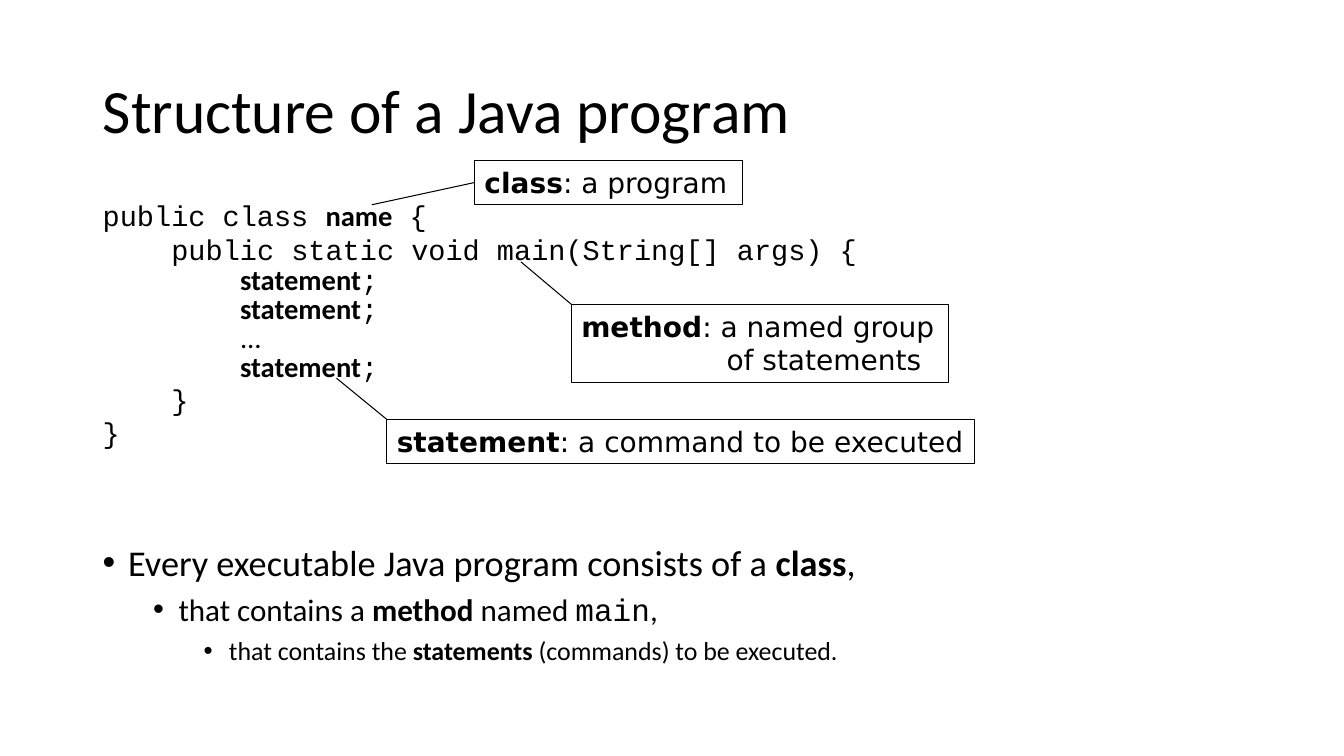
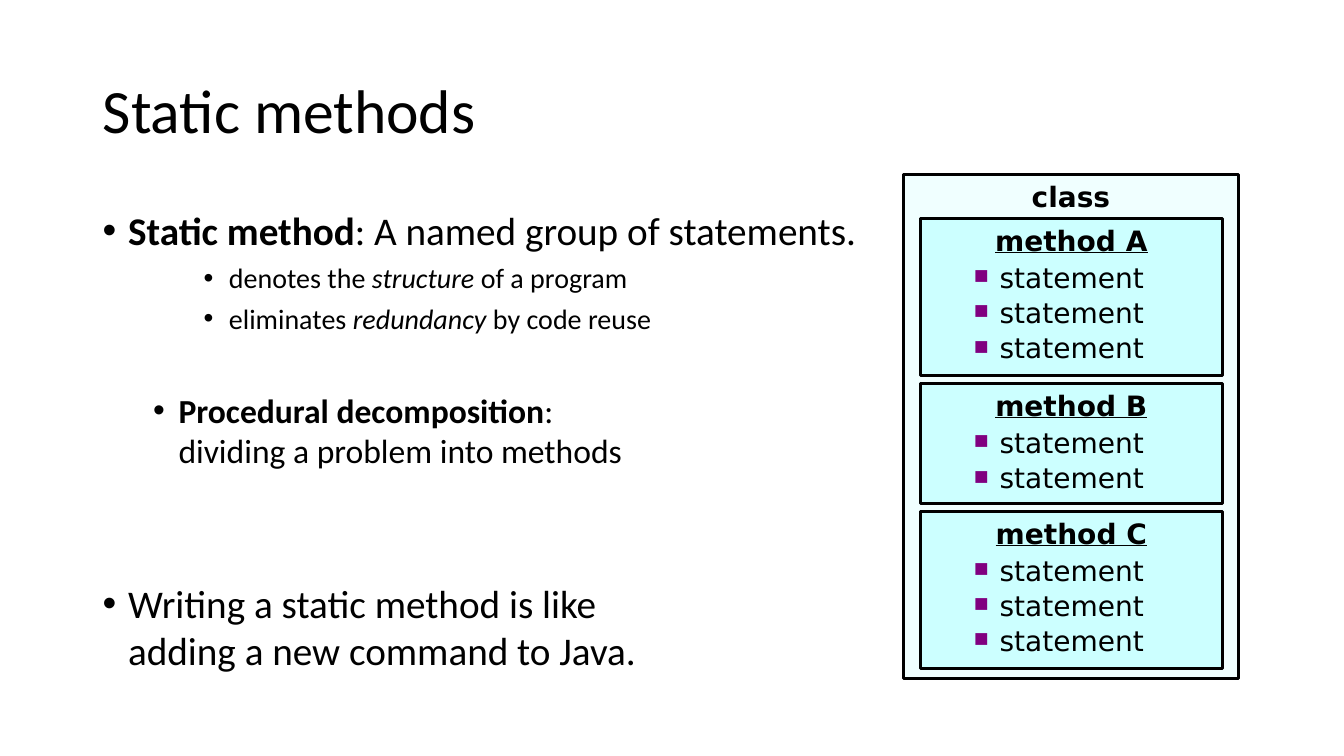
from lxml import etree
from pptx import Presentation
from pptx.dml.color import RGBColor
from pptx.enum.shapes import MSO_CONNECTOR, MSO_SHAPE
from pptx.enum.text import MSO_ANCHOR, PP_ALIGN
from pptx.oxml.ns import qn
from pptx.util import Cm, Pt

RECTANGLE, STRAIGHT = MSO_SHAPE.RECTANGLE, MSO_CONNECTOR.STRAIGHT
TOP, MIDDLE = MSO_ANCHOR.TOP, MSO_ANCHOR.MIDDLE
LEFT, CENTER = PP_ALIGN.LEFT, PP_ALIGN.CENTER

# Shared look
COLORS = {"ink": "000000", "paper": "FFFFFF", "class": "F0FFFF",
          "method": "CCFFFF", "marker": "800080"}
SANS, MONO, LABEL = "Calibri", "Courier New", "DejaVu Sans"
TITLE_AREA = (2.34, 1.02, 29.21, 3.68)
BODY_AREA = (2.34, 5.08, 29.21, 12.09)
CODE_TAB = 1.73
DOT, SQUARE = ("•", "Arial", 100, "ink"), ("■", LABEL, 55, "marker")

# Paragraph styles: lengths in cm, spacing and sizes in points
STYLES = {
    "title": dict(font=SANS, size=44, lines=0.9),
    "code": dict(font=MONO, size=20.4, lines=0.74, before=6),
    "code body": dict(font=MONO, size=20.4, lines=0.6, before=6),
    "point": dict(font=SANS, size=28, before=10, margin=0.64, hang=0.64, bullet=DOT),
    "subpoint": dict(font=SANS, size=24, before=5, margin=1.91, hang=0.64, bullet=DOT),
    "detail": dict(font=SANS, size=20, before=5, margin=3.18, hang=0.64, bullet=DOT),
    "callout": dict(font=LABEL, size=20),
    "box title": dict(font=LABEL, size=20, align=CENTER),
    "statement": dict(font=LABEL, size=20, lines=0.6, before=10.7,
                      margin=1.75, hang=0.64, bullet=SQUARE),
}
LOOKS = {"plain": {}, "bold": {"bold": True}, "italic": {"italic": True},
         "heading": {"bold": True, "underline": True}, "mono": {"name": MONO},
         "sans": {"name": SANS}, "term": {"name": SANS, "bold": True}}

# Slide 1 content: (style, changes to the style, spans)
STRUCTURE_TITLE = "Structure of a Java program"
STATEMENT_LINE = ("code body", {"margin": 2 * CODE_TAB}, [("statement", "term"), ";"])
STRUCTURE_BODY = [
    ("code", {}, ["public class ", ("name", "term"), " {"]),
    ("code", {"margin": CODE_TAB}, ["public static void main(String[] args) {"]),
    STATEMENT_LINE,
    STATEMENT_LINE,
    ("code body", {"margin": 2 * CODE_TAB}, [("...", "sans")]),
    STATEMENT_LINE,
    ("code", {"margin": CODE_TAB}, ["}"]),
    ("code", {}, ["}"]),
    ("point", {"size": 25.9, "before": 65},
     ["Every executable Java program consists of a ", ("class", "bold"), ","]),
    ("subpoint", {"size": 22.2},
     ["that contains a ", ("method", "bold"), " named ", ("main", "mono"), ","]),
    ("detail", {"size": 18.5},
     ["that contains the ", ("statements", "bold"), " (commands) to be executed."]),
]
# Callouts: term, meaning, hanging indent, area, line start, line end
CALLOUTS = [
    ("class", ": a program", 0.79, (11.96, 4.04, 6.76, 1.12), (11.96, 4.6), (9.37, 5.16)),
    ("method", ": a named group\nof statements", 3.66, (14.4, 7.67, 9.5, 1.98),
     (14.4, 7.67), (13.13, 6.6)),
    ("statement", ": a command to be executed", 0.79, (9.75, 10.57, 14.81, 1.12),
     (9.75, 10.57), (8.48, 9.53)),
]

# Slide 2 content
METHODS_TITLE = "Static methods"
METHODS_BODY = [
    ("point", {}, [("Static method", "bold"), ": A named group of statements."]),
    ("detail", {}, ["denotes the ", ("structure", "italic"), " of a program"]),
    ("detail", {}, ["eliminates ", ("redundancy", "italic"), " by code reuse"]),
    ("subpoint", {"before": 39}, [("Procedural decomposition", "bold"),
                                  ":\ndividing a problem into methods"]),
    ("point", {"before": 78},
     ["Writing a static method is like\nadding a new command to Java."]),
]
CLASS_AREA = (22.76, 4.39, 8.46, 12.7)
METHODS = [("method A", 3), ("method B", 2), ("method C", 3)]
METHOD_LEFT, METHOD_TOP, METHOD_WIDTH, METHOD_GAP = 23.19, 5.51, 7.62, 0.2
METHOD_HEAD, STATEMENT_HEIGHT = 1.14, 0.94


def color(name):
    return RGBColor.from_string(COLORS[name])


def add_bullet(para, mark, font, percent, ink):
    properties = para._p.get_or_add_pPr()
    tint = etree.SubElement(properties, qn("a:buClr"))
    etree.SubElement(tint, qn("a:srgbClr"), val=COLORS[ink])
    etree.SubElement(properties, qn("a:buSzPct"), val=str(percent * 1000))
    etree.SubElement(properties, qn("a:buFont"), typeface=font)
    etree.SubElement(properties, qn("a:buChar"), char=mark)


def add_span(para, text, look, style):
    for number, line in enumerate(text.split("\n")):
        if number:
            para.add_line_break()
        span = para.add_run()
        span.text = line
        span.font.size = Pt(style["size"])
        span.font.color.rgb = color("ink")
        for key, value in {"name": style["font"], **LOOKS[look]}.items():
            setattr(span.font, key, value)


def write(box, content, anchor=TOP, wrap=True):
    frame = box.text_frame
    frame.word_wrap = wrap
    frame.vertical_anchor = anchor
    for number, (style_name, changes, spans) in enumerate(content):
        style = {**STYLES[style_name], **changes}
        para = frame.add_paragraph() if number else frame.paragraphs[0]
        para.alignment = style.get("align", LEFT)
        para.line_spacing = style.get("lines", 1.0)
        para.space_before = Pt(style.get("before", 0))
        properties = para._p.get_or_add_pPr()
        properties.set("marL", str(Cm(style.get("margin", 0))))
        properties.set("indent", str(Cm(-style.get("hang", 0))))
        if "bullet" in style:
            add_bullet(para, *style["bullet"])
        for item in spans:
            text, look = (item, "plain") if isinstance(item, str) else item
            add_span(para, text, look, style)


def add_box(shapes, area, fill, width):
    box = shapes.add_shape(RECTANGLE, *map(Cm, area))
    box.shadow.inherit = False
    box.fill.solid()
    box.fill.fore_color.rgb = color(fill)
    box.line.color.rgb = color("ink")
    box.line.width = Pt(width)
    return box


def add_leader(page, start, end):
    leader = page.shapes.add_connector(STRAIGHT, *map(Cm, start + end))
    leader.line.color.rgb = color("ink")
    leader.line.width = Pt(0.75)
    etree.SubElement(leader._element.spPr, qn("a:effectLst"))


def add_page(deck, title, body):
    page = deck.slides.add_slide(deck.slide_layouts[6])
    title_box = page.shapes.add_textbox(*map(Cm, TITLE_AREA))
    write(title_box, [("title", {}, [title])], MIDDLE)
    write(page.shapes.add_textbox(*map(Cm, BODY_AREA)), body)
    return page


deck = Presentation()
deck.slide_width, deck.slide_height = Cm(33.87), Cm(19.05)

# Slide 1: annotated program
page = add_page(deck, STRUCTURE_TITLE, STRUCTURE_BODY)
for term, meaning, hang, area, start, end in CALLOUTS:
    add_leader(page, start, end)
    callout = add_box(page.shapes, area, "paper", 0.75)
    indents = {"margin": hang, "hang": hang}
    write(callout, [("callout", indents, [(term, "bold"), meaning])], wrap=False)

# Slide 2: class diagram beside the points
page = add_page(deck, METHODS_TITLE, METHODS_BODY)
diagram = page.shapes.add_group_shape()
class_box = add_box(diagram.shapes, CLASS_AREA, "class", 2)
write(class_box, [("box title", {}, [("class", "bold")])])
top = METHOD_TOP
for name, count in METHODS:
    height = METHOD_HEAD + count * STATEMENT_HEIGHT
    area = (METHOD_LEFT, top, METHOD_WIDTH, height)
    method_box = add_box(diagram.shapes, area, "method", 2)
    heading = ("box title", {}, [(name, "heading")])
    write(method_box, [heading] + [("statement", {}, ["statement"])] * count)
    top += height + METHOD_GAP

deck.save("out.pptx")
